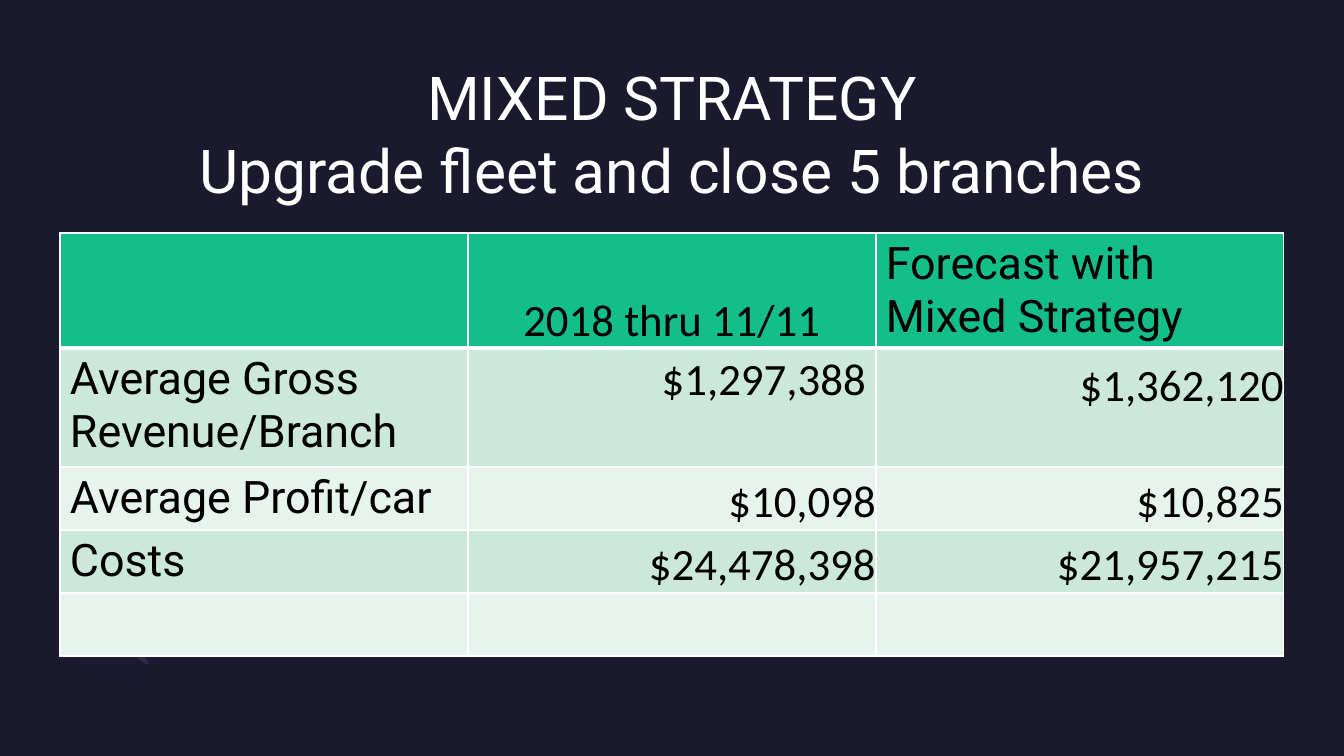
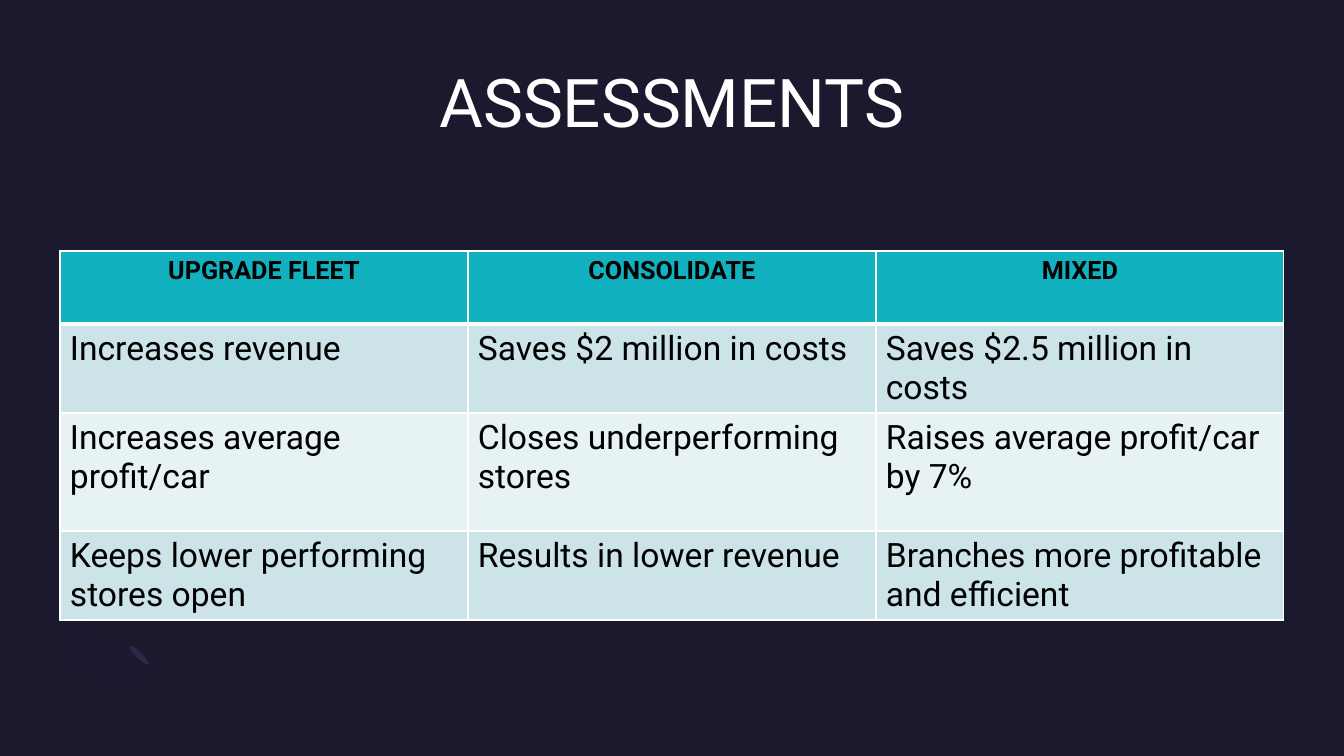
"""Build two dark strategy slides, each with a title and a banded table."""
from math import cos, radians, sin

from lxml.etree import SubElement
from pptx import Presentation
from pptx.dml.color import RGBColor
from pptx.enum.shapes import MSO_SHAPE
from pptx.enum.text import MSO_ANCHOR as ANCHOR, MSO_AUTO_SIZE, PP_ALIGN as ALIGN
from pptx.oxml import parse_xml
from pptx.oxml.ns import nsdecls, qn
from pptx.util import Pt

SCALE = 914400 / 100.8
BACKGROUND, WHITE, BLACK = "1B192E", "FFFFFF", "000000"
LEFT, WIDTH = 60, 1224


def px(n):
    return round(n * SCALE)


def rgb(color):
    return RGBColor.from_string(color)


label = dict(font="Roboto", size=32)
period = dict(font="Calibri", size=32, align=ALIGN.CENTER, anchor=ANCHOR.BOTTOM, inset=(0, 0, 0, 0))
amount = dict(period, align=ALIGN.RIGHT)
raised = dict(amount, inset=(0, 0, 0, 54))
padded = dict(font="Calibri", size=32, align=ALIGN.RIGHT)
option = dict(font="Roboto", size=18, bold=True, align=ALIGN.CENTER)
remark = dict(font="Roboto", size=24)

slides = [
    dict(
        title="MIXED STRATEGY\vUpgrade fleet and close 5 branches",
        title_size=43.2, top=233, heights=[115, 119, 63, 63, 63],
        fills=["13BE89", "CCE8DA", "E7F4ED"],
        rows=[
            [("", label), ("2018 thru 11/11", period), ("Forecast with Mixed Strategy", label)],
            [("Average Gross Revenue/Branch", label), ("$1,297,388", padded), ("$1,362,120", raised)],
            [("Average Profit/car", label), ("$10,098", amount), ("$10,825", amount)],
            [("Costs", label), ("$24,478,398", amount), ("$21,957,215", amount)],
            [("", label)] * 3,
        ],
    ),
    dict(
        title="ASSESSMENTS",
        title_size=48, top=251, heights=[73, 89, 118, 89],
        fills=["12B1BF", "CCE4E8", "E7F2F4"],
        rows=[
            [(text, option) for text in ("UPGRADE FLEET", "CONSOLIDATE", "MIXED")],
            [(text, remark) for text in (
                "Increases revenue", "Saves $2 million in costs", "Saves $2.5 million in costs")],
            [(text, remark) for text in (
                "Increases average profit/car", "Closes underperforming stores",
                "Raises average profit/car by 7%")],
            [(text, remark) for text in (
                "Keeps lower performing stores open", "Results in lower revenue",
                "Branches more profitable and efficient")],
        ],
    ),
]

prs = Presentation()
prs.slide_width, prs.slide_height = px(1344), px(756)
master_fill = prs.slide_master.background.fill
master_fill.solid()
master_fill.fore_color.rgb = rgb(BACKGROUND)

arc_points = [
    (116 + radius * cos(radians(angle)), 624 + radius * sin(radians(angle)))
    for radius, angles in ((54, range(45, 226, 10)), (28, range(225, 44, -10)))
    for angle in angles
]

for content in slides:
    s = prs.slides.add_slide(prs.slide_layouts[5])

    title = s.shapes.title
    title.left, title.top, title.width, title.height = px(LEFT), px(60), px(WIDTH), px(147)
    tf = title.text_frame
    tf.auto_size = MSO_AUTO_SIZE.NONE
    tf.word_wrap = True
    tf.vertical_anchor = ANCHOR.TOP
    tf.margin_left = tf.margin_top = tf.margin_right = tf.margin_bottom = 0
    p = tf.paragraphs[0]
    p.text = content["title"]
    p.alignment = ALIGN.CENTER
    for r in p.runs:
        r.font.name, r.font.size = "Roboto", Pt(content["title_size"])
        r.font.color.rgb = rgb(WHITE)

    for x, y in ((136, 642), (83, 588)):
        tip = s.shapes.add_shape(MSO_SHAPE.OVAL, px(x), px(y), px(6), px(26))
        tip.rotation = 135
        tip.shadow.inherit = False
        tip.fill.solid()
        tip.fill.fore_color.rgb = rgb("2C284A")
        tip.line.fill.background()

    outline = s.shapes.build_freeform(*arc_points[0], scale=SCALE)
    outline.add_line_segments(arc_points[1:])
    arc = outline.convert_to_shape()
    arc.shadow.inherit = False
    arc.fill.solid()
    arc.fill.fore_color.rgb = rgb("7771B2")
    arc.line.fill.background()
    arc_color = arc.fill._xPr.find(qn("a:solidFill"))[0]
    SubElement(arc_color, qn("a:alpha"), val="2000")

    rows, heights = content["rows"], content["heights"]
    header_fill, *bands = content["fills"]
    table = s.shapes.add_table(
        len(rows), 3, px(LEFT), px(content["top"]), px(WIDTH), px(sum(heights))).table
    table.first_row = table.horz_banding = False
    for column in table.columns:
        column.width = px(WIDTH / 3)
    for i, (row, height) in enumerate(zip(rows, heights)):
        table.rows[i].height = px(height)
        for j, (text, style) in enumerate(row):
            cell = table.cell(i, j)
            cell.fill.solid()
            cell.fill.fore_color.rgb = rgb(bands[(i - 1) % 2] if i else header_fill)
            cell.vertical_anchor = style.get("anchor", ANCHOR.TOP)
            cell.margin_left, cell.margin_top, cell.margin_right, cell.margin_bottom = map(
                px, style.get("inset", (10, 5, 10, 5)))
            p = cell.text_frame.paragraphs[0]
            p.text = text
            p.alignment = style.get("align", ALIGN.LEFT)
            for r in p.runs:
                r.font.name, r.font.size = style["font"], Pt(style["size"])
                r.font.bold = style.get("bold", False)
                r.font.color.rgb = rgb(BLACK)
            borders = dict(lnL=1, lnR=1, lnT=3 if i == 1 else 1, lnB=1 if i else 3)
            for k, (side, weight) in enumerate(borders.items()):
                cell._tc.get_or_add_tcPr().insert(k, parse_xml(
                    f'<a:{side} {nsdecls("a")} w="{Pt(weight)}"><a:solidFill>'
                    f'<a:srgbClr val="{WHITE}"/></a:solidFill></a:{side}>'))

prs.save("out.pptx")
